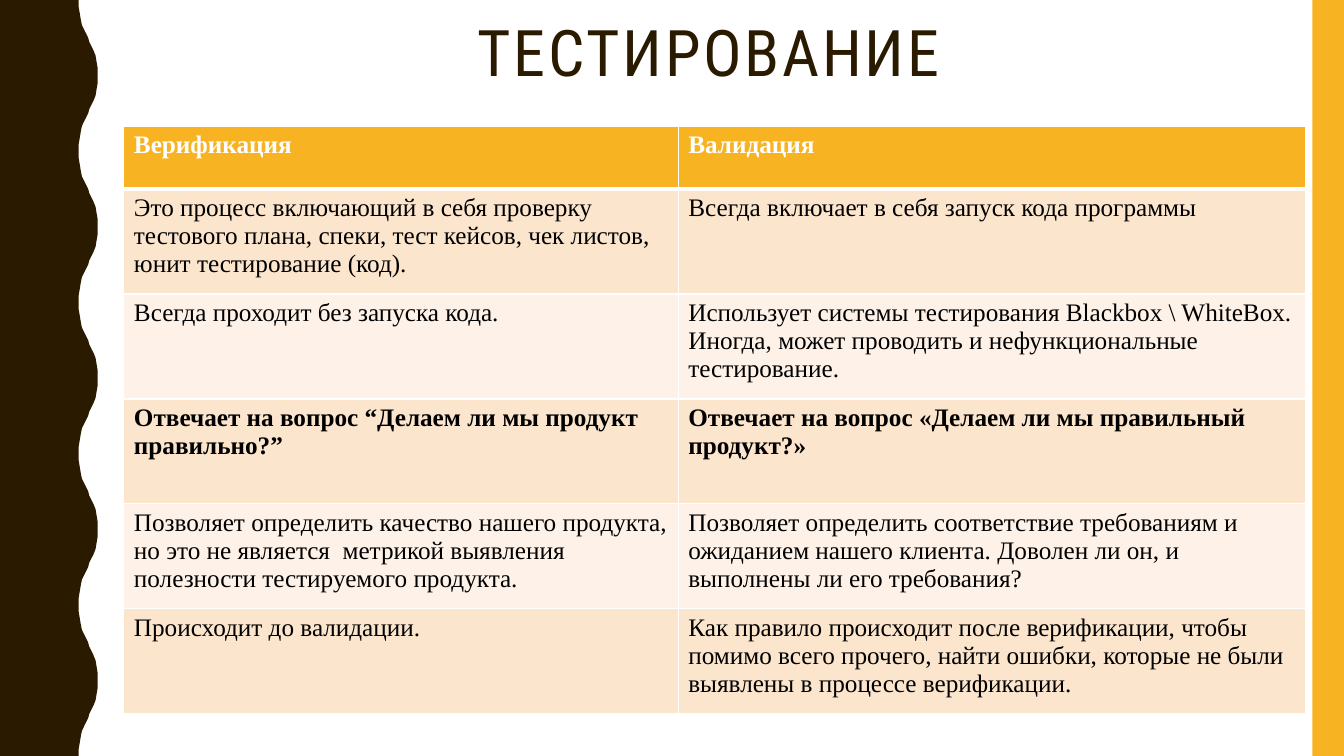
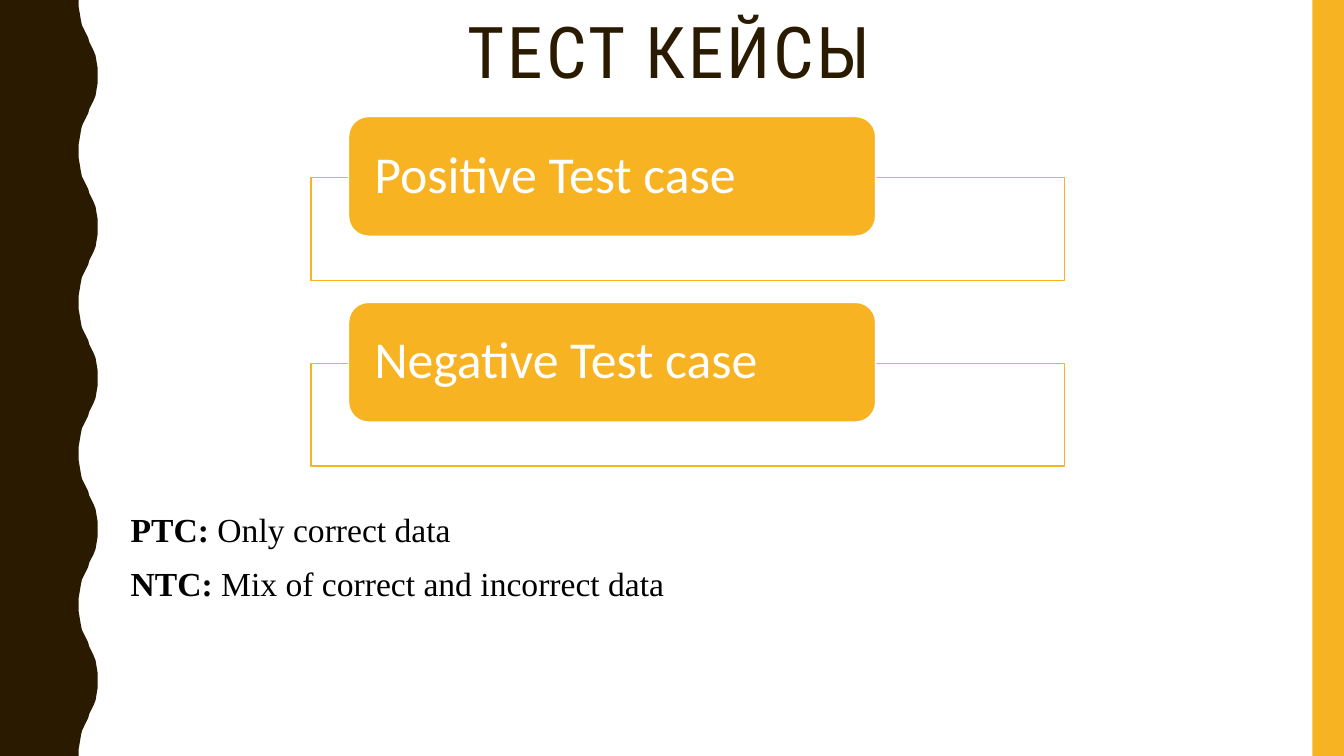
import dataclasses
import typing

import lxml.etree
import pptx
import pptx.dml.color
import pptx.enum.shapes
import pptx.enum.text
import pptx.oxml.ns
import pptx.presentation
import pptx.shapes.autoshape
import pptx.slide
import pptx.table
import pptx.text.text
import pptx.util

PX = 9525
WIDE, HIGH = 1280, 720

BROWN = pptx.dml.color.RGBColor(0x2A, 0x1A, 0x00)
GOLD = pptx.dml.color.RGBColor(0xF8, 0xB3, 0x23)
PEACH = pptx.dml.color.RGBColor(0xFC, 0xE5, 0xCD)
CREAM = pptx.dml.color.RGBColor(0xFE, 0xF2, 0xE8)
WHITE = pptx.dml.color.RGBColor(0xFF, 0xFF, 0xFF)
BLACK = pptx.dml.color.RGBColor(0x00, 0x00, 0x00)

TITLE = "Roboto Condensed"
SERIF = "Times New Roman"
SANS = "Calibri"

ALIGN = pptx.enum.text.PP_ALIGN
ANCHOR = pptx.enum.text.MSO_ANCHOR
SHAPE = pptx.enum.shapes.MSO_SHAPE

WAVE_STEP = 144
HALF_WAVE = (
    (75, 0), (75, 7), (76, 13), (77, 19), (78, 24), (80, 28), (82, 32), (84, 36),
    (85, 40), (87, 44), (89, 48), (91, 53), (92, 59), (93, 65), (93, 72),
)


@dataclasses.dataclass(frozen=True)
class Box:
    left: int
    top: int
    width: int
    height: int

    def emu(self) -> tuple[int, ...]:
        return tuple(n * PX for n in dataclasses.astuple(self))


@dataclasses.dataclass(frozen=True)
class Style:
    face: str
    size: float
    color: pptx.dml.color.RGBColor
    bold: bool = False


@dataclasses.dataclass(frozen=True)
class Row:
    left: str
    right: str
    bold: bool = False


@dataclasses.dataclass(frozen=True)
class Note:
    label: str
    text: str


ROWS = (
    Row("Верификация", "Валидация", True),
    Row("Это процесс включающий в себя проверку тестового плана, спеки, тест кейсов, "
        "чек листов, юнит тестирование (код).",
        "Всегда включает в себя запуск кода программы"),
    Row("Всегда проходит без запуска кода.",
        "Использует системы тестирования Blackbox \\ WhiteBox. Иногда, может проводить "
        "и нефункциональные тестирование."),
    Row("Отвечает на вопрос “Делаем ли мы продукт правильно?”",
        "Отвечает на вопрос «Делаем ли мы правильный продукт?»", True),
    Row("Позволяет определить качество нашего продукта, но это не является  метрикой "
        "выявления полезности тестируемого продукта.",
        "Позволяет определить соответствие требованиям и ожиданием нашего клиента. "
        "Доволен ли он, и выполнены ли его требования?"),
    Row("Происходит до валидации.",
        "Как правило происходит после верификации, чтобы помимо всего прочего, найти "
        "ошибки, которые не были выявлены в процессе верификации."),
)
COLS = (528, 597)
HEAD_HIGH, ROW_HIGH = 60, 100

CASES = ("Positive Test case", "Negative Test case")
CASE_TOP, CASE_STEP = 111, 177

NOTES = (
    Note("PTC: ", "Only correct data"),
    Note("NTC: ", "Mix of correct and incorrect data"),
)


def put(item: typing.Any, form: dict[str, typing.Any]) -> None:
    for name, value in form.items():
        setattr(item, name, value)


def add_run(para: pptx.text.text._Paragraph, text: str, style: Style) -> pptx.text.text._Run:
    run = para.add_run()
    run.text = text
    put(run.font, {"name": style.face, "size": pptx.util.Pt(style.size), "bold": style.bold})
    run.font.color.rgb = style.color
    return run


def paint(
    shape: pptx.shapes.autoshape.Shape,
    fill: pptx.dml.color.RGBColor,
    line: pptx.dml.color.RGBColor | None = None,
) -> None:
    shape.shadow.inherit = False
    shape.fill.solid()
    shape.fill.fore_color.rgb = fill
    if line is None:
        shape.line.fill.background()
    else:
        shape.line.color.rgb = line
        shape.line.width = pptx.util.Pt(1)


def add_frame(slide: pptx.slide.Slide, title: str, box: Box, size: float) -> None:
    wave = []
    for start in range(0, HIGH, WAVE_STEP):
        wave += [(x, start + y) for x, y in HALF_WAVE]
        wave += [(x, start + WAVE_STEP - y) for x, y in HALF_WAVE[-2::-1]]
    edge = slide.shapes.build_freeform(0, 0, scale=PX)
    edge.add_line_segments([*wave, (0, HIGH)], close=True)
    paint(edge.convert_to_shape(), BROWN)
    band = Box(1250, 0, WIDE - 1250, HIGH)
    paint(slide.shapes.add_shape(SHAPE.RECTANGLE, *band.emu()), GOLD)

    frame = slide.shapes.add_textbox(*box.emu()).text_frame
    frame.word_wrap = True
    para = frame.paragraphs[0]
    put(para, {"alignment": ALIGN.CENTER, "line_spacing": 0.9})
    run = add_run(para, title, Style(TITLE, size, BROWN))
    run.font._element.set("spc", "200")


def add_lines(cell: pptx.table._Cell, base: float) -> None:
    props = cell._tc.get_or_add_tcPr()
    for spot, (side, width) in enumerate((("L", 1), ("R", 1), ("T", 1), ("B", base))):
        line = lxml.etree.Element(pptx.oxml.ns.qn(f"a:ln{side}"), w=str(pptx.util.Pt(width)))
        fill = lxml.etree.SubElement(line, pptx.oxml.ns.qn("a:solidFill"))
        lxml.etree.SubElement(fill, pptx.oxml.ns.qn("a:srgbClr"), val=str(WHITE))
        props.insert(spot, line)


def add_grid(slide: pptx.slide.Slide) -> None:
    high = HEAD_HIGH + ROW_HIGH * (len(ROWS) - 1)
    box = Box(118, 120, sum(COLS), high)
    table = slide.shapes.add_table(len(ROWS), len(COLS), *box.emu()).table
    put(table, {"first_row": False, "horz_banding": False})
    for col, width in zip(table.columns, COLS):
        col.width = width * PX
    for i, row in enumerate(ROWS):
        head = i == 0
        table.rows[i].height = (HEAD_HIGH if head else ROW_HIGH) * PX
        fill = GOLD if head else (CREAM, PEACH)[i % 2]
        style = Style(SERIF, 18, WHITE if head else BLACK, row.bold)
        for j, text in enumerate((row.left, row.right)):
            cell = table.cell(i, j)
            cell.fill.solid()
            cell.fill.fore_color.rgb = fill
            add_lines(cell, 3 if head else 1)
            add_run(cell.text_frame.paragraphs[0], text, style)


def add_case(slide: pptx.slide.Slide, text: str, top: int) -> None:
    back = slide.shapes.add_shape(SHAPE.RECTANGLE, *Box(296, top + 58, 718, 98).emu())
    paint(back, WHITE, GOLD)
    tint = back.fill._xPr.find(".//" + pptx.oxml.ns.qn("a:srgbClr"))
    lxml.etree.SubElement(tint, pptx.oxml.ns.qn("a:alpha"), val="90000")

    label = slide.shapes.add_shape(SHAPE.ROUNDED_RECTANGLE, *Box(332, top, 502, 114).emu())
    paint(label, GOLD, WHITE)
    frame = label.text_frame
    put(frame, {
        "word_wrap": True, "vertical_anchor": ANCHOR.MIDDLE,
        "margin_left": 19 * PX, "margin_right": 19 * PX, "margin_top": 0, "margin_bottom": 0,
    })
    para = frame.paragraphs[0]
    put(para, {"alignment": ALIGN.LEFT, "line_spacing": 0.9})
    add_run(para, text, Style(SANS, 37, WHITE))


def add_notes(slide: pptx.slide.Slide) -> None:
    frame = slide.shapes.add_textbox(*Box(115, 476, 1103, 244).emu()).text_frame
    frame.word_wrap = True
    for i, note in enumerate(NOTES):
        para = frame.add_paragraph() if i else frame.paragraphs[0]
        put(para, {
            "alignment": ALIGN.JUSTIFY, "line_spacing": 1.1, "space_before": pptx.util.Pt(7),
        })
        add_run(para, note.label, Style(SERIF, 24, BLACK, True))
        add_run(para, note.text, Style(SERIF, 24, BLACK))


def add_slide(deck: pptx.presentation.Presentation) -> pptx.slide.Slide:
    return deck.slides.add_slide(deck.slide_layouts[6])


def main() -> None:
    deck = pptx.Presentation()
    put(deck, {"slide_width": WIDE * PX, "slide_height": HIGH * PX})

    slide = add_slide(deck)
    add_frame(slide, "ТЕСТИРОВАНИЕ", Box(141, 15, 1068, 72), 45.9)
    add_grid(slide)

    slide = add_slide(deck)
    add_frame(slide, "ТЕСТ КЕЙСЫ", Box(104, 11, 1068, 100), 51)
    for i, text in enumerate(CASES):
        add_case(slide, text, CASE_TOP + i * CASE_STEP)
    add_notes(slide)

    deck.save("out.pptx")


if __name__ == "__main__":
    main()
